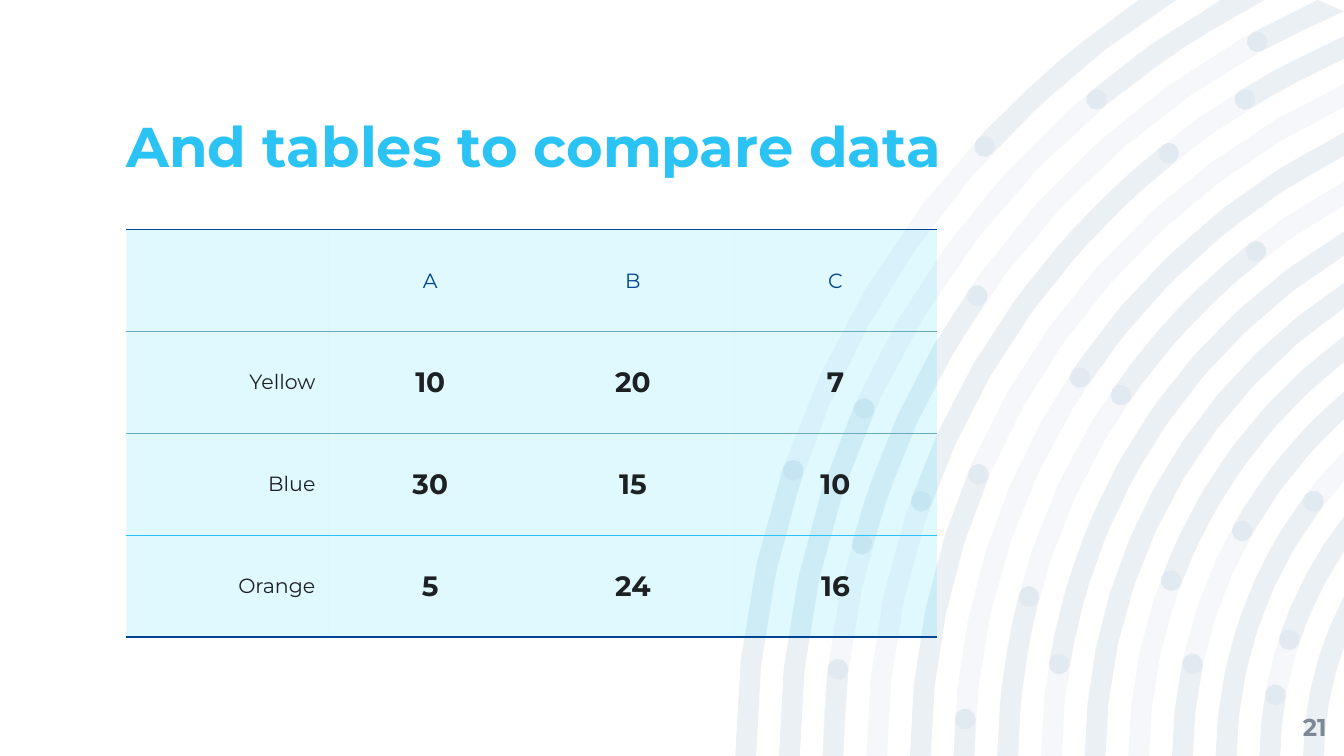
import math

from lxml import etree
from pptx import Presentation, util as u
from pptx.dml.color import RGBColor
from pptx.enum import text
from pptx.oxml import ns

# The slide is a grid of square units, 100 columns by 56.25 rows.
COLUMNS, ROWS = 100, 56.25
FONT = "Montserrat"
NAVY, SKY, TEAL, INK, GREY = "004591", "2AC3F3", "6AABBF", "1E2124", "7C8894"
CYAN = "00D0FF"

# Concentric rings around a centre outside the slide.
CENTRE_X, CENTRE_Y = 123.1, 56.6
FIRST_RADIUS, PITCH, BAND = 67.62, 3.25, 1.55
ARC_STEP, CAP_STEPS = 0.11, 5

# Stronger stretches of each ring, from the outside in: the heights of the dots
# at their lower and upper ends, None where they run off the slide.
STRETCHES = [
    [(None, 35), (10.9, None)],
    [(None, 30.4), (7.4, None)],
    [(None, 49.8), (40.5, 22), (3.1, None)],
    [(37.3, 11.4), (7.4, None)],
    [(None, 35.3)],
    [(None, 53.5), (28.1, None)],
    [(None, 44.4), (29.4, 18.7)],
    [(49.4, None)],
    [(None, None)],
    [(43.2, None)],
    [(None, 49.4), (39.5, None)],
    [(None, 37.3)],
    [(None, 51.7), (47.6, None)],
    [(None, None)],
]

TABLE = [
    ["", "A", "B", "C"],
    ["Yellow", "10", "20", "7"],
    ["Blue", "30", "15", "10"],
    ["Orange", "5", "24", "16"],
]
RULES = [NAVY, TEAL, TEAL, SKY, NAVY]


def grid(units):
    return u.Inches(units / 10)


def colour(value):
    return RGBColor.from_string(value)


def set_fill(owner, holder, value, opacity):
    """Give a shape or cell a see-through fill; holder is its XML, opacity in percent."""
    owner.fill.solid()
    owner.fill.fore_color.rgb = colour(value)
    tint = next(holder.iter(ns.qn("a:srgbClr")))
    etree.SubElement(tint, ns.qn("a:alpha"), val=str(opacity * 1000))


def polar(radius, angle):
    """Point of a ring, held above the slide's bottom edge."""
    y = CENTRE_Y - radius * math.sin(angle)
    return CENTRE_X - radius * math.cos(angle), min(y, ROWS)


def slide_exit(radius):
    """Angle at which a circle leaves the slide at the top or the right."""
    return min(math.acos((CENTRE_X - COLUMNS) / radius),
               math.asin(min(CENTRE_Y / radius, 1)))


def cap(ring, height, first_turn):
    """Half circle around a dot, as (radius, angle) pairs."""
    radius, half = FIRST_RADIUS - PITCH * ring, BAND / 2
    middle = math.asin((CENTRE_Y - height) / radius)
    turns = [first_turn + math.pi * i / CAP_STEPS for i in range(CAP_STEPS + 1)]
    return [(radius + half * math.cos(turn), middle + half * math.sin(turn) / radius)
            for turn in turns]


def arc(begin, finish):
    """Points between two ends on the same circle."""
    (radius, a), (_, b) = begin, finish
    steps = math.ceil(abs(b - a) / ARC_STEP)
    return [(radius, a + (b - a) * i / steps) for i in range(1, steps)]


def band_outline(ring, low=None, high=None):
    radius = FIRST_RADIUS - PITCH * ring
    outer, inner = radius + BAND / 2, radius - BAND / 2
    start = [(inner, 0), (outer, 0)] if low is None else cap(ring, low, math.pi)
    if high is None:
        end = [(edge, slide_exit(edge)) for edge in (outer, inner)]
    else:
        end = cap(ring, high, 0)
    outline = start + arc(start[-1], end[0]) + end + arc(end[-1], start[0])
    return [polar(*point) for point in outline]


def dot_outline(ring, height):
    circle = cap(ring, height, 0) + cap(ring, height, math.pi)[1:-1]
    return [polar(*point) for point in circle]


def add_layer(page, outlines):
    """Draw all outlines as one pale freeform."""
    builder = None
    for outline in outlines:
        first, *rest = [(grid(x), grid(y)) for x, y in outline]
        if builder is None:
            builder = page.shapes.build_freeform(*first)
        else:
            builder.move_to(*first)
        builder.add_line_segments(rest, close=True)
    shape = builder.convert_to_shape()
    shape.shadow.inherit = False
    shape.line.fill.background()
    set_fill(shape, shape._element.spPr, NAVY, 4)


def add_rings(page):
    stretches = [(ring, *ends) for ring, pairs in enumerate(STRETCHES) for ends in pairs]
    add_layer(page, [band_outline(ring) for ring in range(len(STRETCHES))])
    add_layer(page, [band_outline(*stretch) for stretch in stretches])
    add_layer(page, [dot_outline(ring, height) for ring, *ends in stretches
                     for height in ends if height is not None])


def write(frame, words, size, tone, align, bold=False):
    frame.text = words
    para = frame.paragraphs[0]
    para.alignment = align
    for span in para.runs:
        span.font.name, span.font.size, span.font.bold = FONT, u.Pt(size), bold
        span.font.color.rgb = colour(tone)


def add_text(page, place, anchor, *style):
    box = page.shapes.add_textbox(*map(grid, place))
    frame = box.text_frame
    frame.word_wrap = True
    frame.vertical_anchor = anchor
    frame.margin_left = frame.margin_right = frame.margin_top = frame.margin_bottom = 0
    write(frame, *style)
    return frame


def set_borders(cell, top, bottom):
    props = cell._tc.get_or_add_tcPr()
    sides = {"lnL": None, "lnR": None, "lnT": top, "lnB": bottom}
    for place, (side, tone) in enumerate(sides.items()):
        line = etree.Element(ns.qn("a:" + side), w=str(int(u.Pt(0.75))))
        if tone is None:
            etree.SubElement(line, ns.qn("a:noFill"))
        else:
            fill = etree.SubElement(line, ns.qn("a:solidFill"))
            etree.SubElement(fill, ns.qn("a:srgbClr"), val=tone)
        props.insert(place, line)


def add_comparison(page):
    table = page.shapes.add_table(
        len(TABLE), len(TABLE[0]), grid(9.4), grid(17.1), grid(60.3), grid(30.3)).table
    table.first_row = table.horz_banding = False
    for r, row in enumerate(TABLE):
        for c, words in enumerate(row):
            cell = table.cell(r, c)
            is_value = r > 0 and c > 0
            align = text.PP_ALIGN.CENTER if c else text.PP_ALIGN.RIGHT
            write(cell.text_frame, words, 15 if is_value else 11, INK if r else NAVY,
                  align, is_value)
            cell.vertical_anchor = text.MSO_ANCHOR.MIDDLE
            cell.margin_left = cell.margin_right = grid(1)
            cell.margin_top = cell.margin_bottom = grid(0.7)
            set_fill(cell, cell._tc.tcPr, CYAN, 12)
            set_borders(cell, RULES[r], RULES[r + 1])


def main():
    deck = Presentation()
    deck.slide_width, deck.slide_height = grid(COLUMNS), grid(ROWS)
    page = deck.slides.add_slide(deck.slide_layouts[6])
    add_rings(page)
    title = add_text(page, (9.4, 9.1, 81.3, 4.3), text.MSO_ANCHOR.BOTTOM,
                     "And tables to compare data", 30, SKY, text.PP_ALIGN.LEFT, True)
    title.paragraphs[0].line_spacing = 0.9
    add_comparison(page)
    add_text(page, (92.7, 51.9, 6, 4.3), text.MSO_ANCHOR.MIDDLE,
             "21", 13, GREY, text.PP_ALIGN.RIGHT, True)
    deck.save("out.pptx")


if __name__ == "__main__":
    main()
